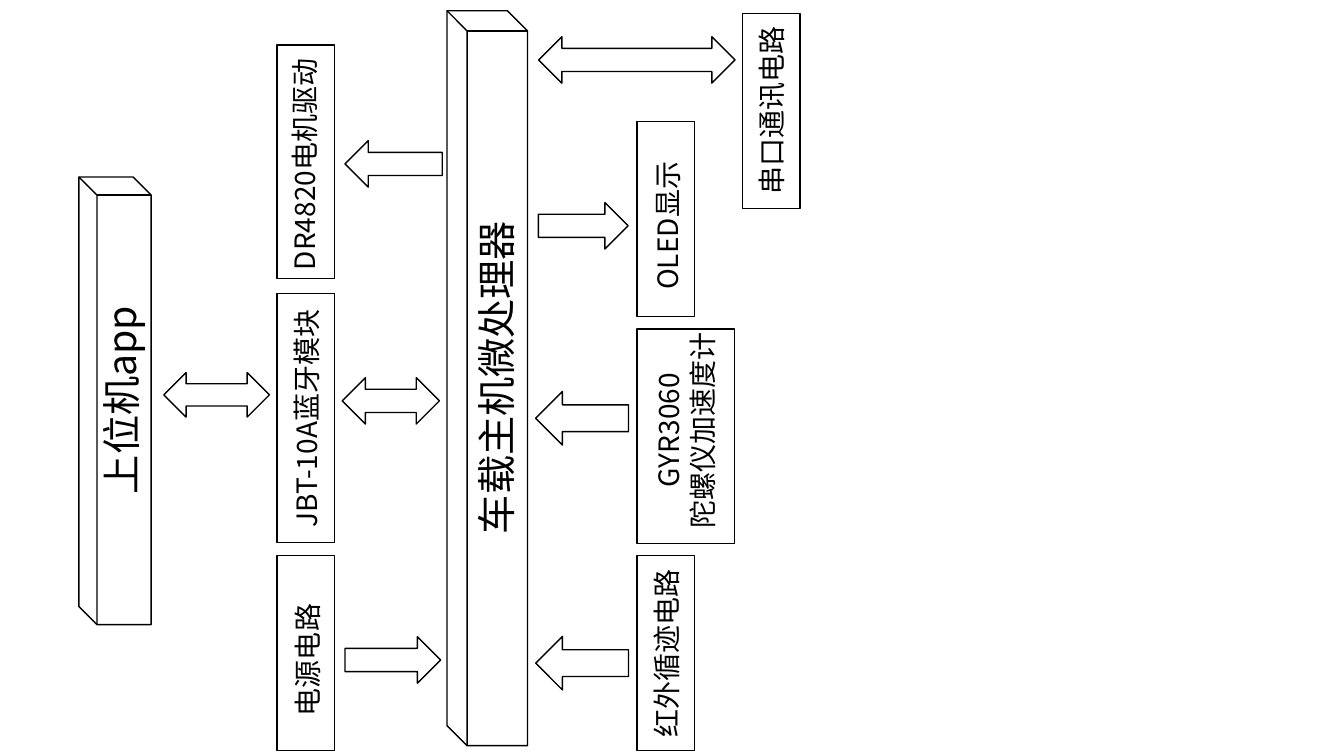
from pptx import Presentation
from pptx.dml import color as dml
from pptx.enum import shapes, text
from pptx import util as u

THEME = {
    "font": "Noto Sans CJK SC",
    "ink": dml.RGBColor(0, 0, 0),
    "paper": dml.RGBColor(255, 255, 255),
    "title": u.Pt(28),
    "label": u.Pt(20),
    "line": u.Pt(1),
}
KIND = shapes.MSO_SHAPE

prs = Presentation()
prs.slide_width, prs.slide_height = u.Cm(33.87), u.Cm(19.05)
slide = prs.slides.add_slide(prs.slide_layouts[6])


def add_block(kind, x, y, w, h):
    """Add an outlined shape centred on x, y (cm) and turned a quarter left."""
    sp = slide.shapes.add_shape(kind, u.Cm(x - w / 2), u.Cm(y - h / 2), u.Cm(w), u.Cm(h))
    sp.rotation = 270
    sp.shadow.inherit = False
    if kind == KIND.UP_DOWN_ARROW:
        sp.fill.solid()
        sp.fill.fore_color.rgb = THEME["paper"]
    else:
        sp.fill.background()
    sp.line.color.rgb = THEME["ink"]
    sp.line.width = THEME["line"]


def add_label(words, x, y, w, h, size):
    """Add centred text around x, y (cm), turned a quarter left."""
    sp = slide.shapes.add_textbox(u.Cm(x - w / 2), u.Cm(y - h / 2), u.Cm(w), u.Cm(h))
    sp.rotation = 270
    tf = sp.text_frame
    tf.word_wrap = True
    tf.auto_size = text.MSO_AUTO_SIZE.SHAPE_TO_FIT_TEXT
    tf.text = words
    for p in tf.paragraphs:
        p.alignment = text.PP_ALIGN.CENTER
        for r in p.runs:
            r.font.name = THEME["font"]
            r.font.size = size
            r.font.color.rgb = THEME["ink"]


# Controllers: text, centre, length, depth, text centre, text width
controllers = [
    ("上位机app", 2.9, 10.1, 11.28, 1.82, 3.06, 10.08, 6.93),
    ("车载主机微处理器", 12.28, 9.53, 18.52, 2.03, 12.51, 9.51, 10.64),
]
for words, x, y, w, h, tx, ty, tw in controllers:
    add_block(KIND.CUBE, x, y, w, h)
    add_label(words, tx, ty, tw, 1.45, THEME["title"])

# Modules: text, centre, length, depth, text centre, text width
modules = [
    ("DR4820电机驱动", 7.71, 4.08, 5.89, 1.45, 7.67, 4.14, 6.93),
    ("JBT-10A蓝牙模块", 7.71, 10.53, 6.27, 1.45, 7.73, 10.54, 6.93),
    ("电源电路", 7.71, 16.45, 4.92, 1.45, 7.75, 16.63, 4.57),
    ("串口通讯电路", 19.44, 2.8, 4.92, 1.45, 19.44, 2.79, 5),
    ("OLED显示", 16.78, 5.52, 4.92, 1.45, 16.82, 5.69, 4.57),
    ("GYR3060\n陀螺仪加速度计", 17.28, 10.99, 5.41, 2.46, 17.28, 10.84, 5.69),
    ("红外循迹电路", 16.78, 16.45, 4.92, 1.45, 16.81, 16.46, 4.9),
]
for words, x, y, w, h, tx, ty, tw in modules:
    add_block(KIND.RECTANGLE, x, y, w, h)
    lines = words.count("\n") + 1
    add_label(words, tx, ty, tw, 0.28 + 0.84 * lines, THEME["label"])

# Arrows: after the quarter turn, up points left and down points right
left, right, both = KIND.UP_ARROW, KIND.DOWN_ARROW, KIND.UP_DOWN_ARROW
arrows = [
    (both, 5.46, 9.95, 1.12, 2.66),
    (left, 9.92, 4.13, 1.17, 2.45),
    (both, 9.85, 10.1, 1.17, 2.45),
    (right, 9.9, 16.63, 1.17, 2.41),
    (both, 16.05, 1.51, 1.17, 4.95),
    (right, 14.7, 5.69, 1.17, 2.26),
    (left, 14.67, 10.54, 1.35, 2.34),
    (left, 14.67, 16.71, 1.35, 2.34),
]
for arrow in arrows:
    add_block(*arrow)

prs.save("out.pptx")
